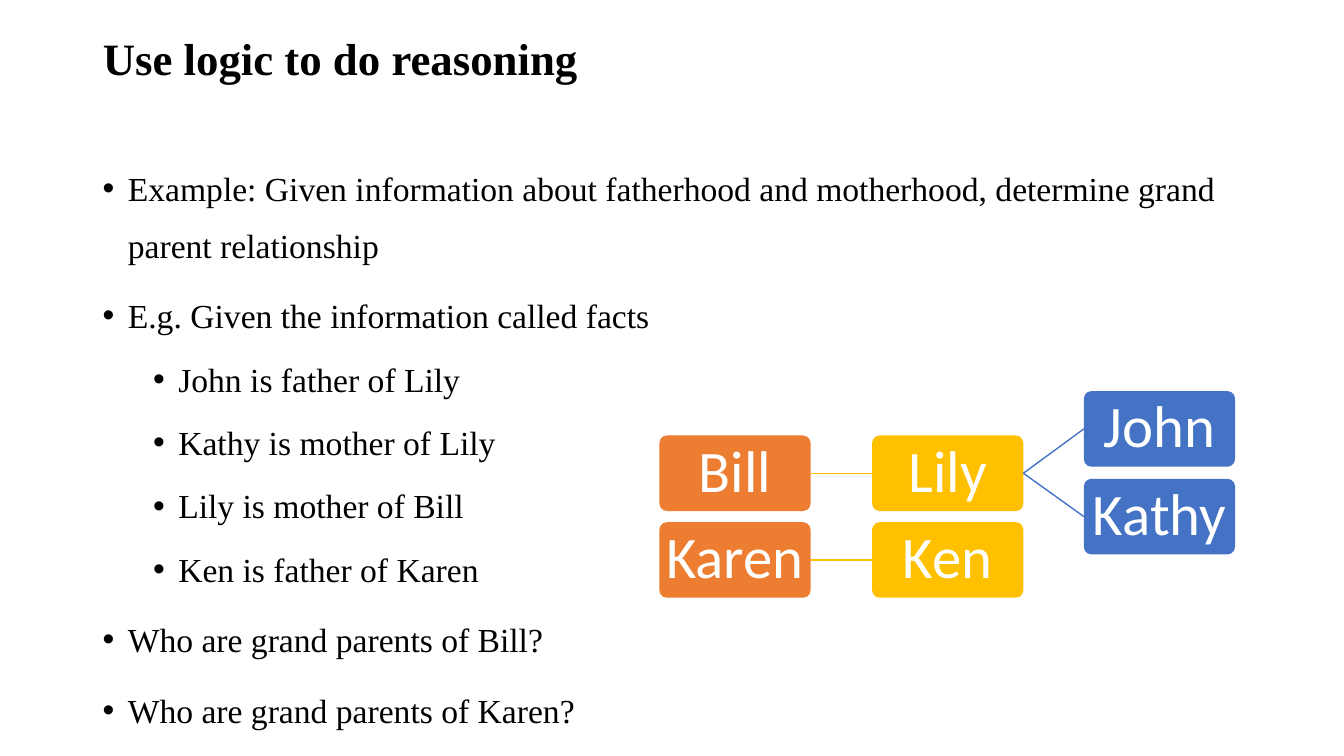
from pptx import Presentation
from pptx.dml.color import RGBColor
from pptx.enum import shapes, text
from pptx.oxml.ns import qn
from pptx.util import Inches, Pt
from lxml import etree

SERIF = "Times New Roman"
ORANGE, YELLOW, BLUE = "ED7D31", "FFC000", "4472C4"
COLUMNS = [6.54, 8.65, 10.75]
BOX_W, BOX_H = 1.5, 0.75

FACTS = [
    (0, "Example: Given information about fatherhood and motherhood, "
        "determine grand parent relationship"),
    (0, "E.g. Given the information called facts"),
    (1, "John is father of Lily"),
    (1, "Kathy is mother of Lily"),
    (1, "Lily is mother of Bill"),
    (1, "Ken is father of Karen"),
    (0, "Who are grand parents of Bill?"),
    (0, "Who are grand parents of Karen?"),
]
PEOPLE = [
    ("Bill", 0, 4.32, ORANGE),
    ("Karen", 0, 5.18, ORANGE),
    ("Lily", 1, 4.32, YELLOW),
    ("Ken", 1, 5.18, YELLOW),
    ("John", 2, 3.88, BLUE),
    ("Kathy", 2, 4.75, BLUE),
]
LINKS = [
    ("Bill", "Lily", YELLOW),
    ("Karen", "Ken", YELLOW),
    ("Lily", "John", BLUE),
    ("Lily", "Kathy", BLUE),
]


def color(value):
    return RGBColor.from_string(value)


def format_runs(p, size, name, value, bold=False):
    for r in p.runs:
        r.font.size = Pt(size)
        r.font.name = name
        r.font.bold = bold
        r.font.color.rgb = color(value)


def add_title(s, wording):
    sp = s.shapes.title
    sp.left, sp.top = Inches(0.92), Inches(0.16)
    sp.width, sp.height = Inches(11.5), Inches(0.9)
    tf = sp.text_frame
    tf.text = wording
    tf.vertical_anchor = text.MSO_ANCHOR.MIDDLE
    p = tf.paragraphs[0]
    p.alignment = text.PP_ALIGN.LEFT
    p.line_spacing = 0.9
    format_runs(p, 32, SERIF, "000000", bold=True)


def add_bullet(p, level):
    pPr = p._p.get_or_add_pPr()
    pPr.set("marL", str(Inches(0.25 + 0.5 * level)))
    pPr.set("indent", str(Inches(-0.25)))
    etree.SubElement(pPr, qn("a:buFont")).set("typeface", "Arial")
    etree.SubElement(pPr, qn("a:buChar")).set("char", "•")


def add_bullets(s, items):
    sp = s.shapes.add_textbox(Inches(0.92), Inches(1.46), Inches(11.5), Inches(6.04))
    tf = sp.text_frame
    tf.word_wrap = True
    for i, (level, wording) in enumerate(items):
        p = tf.add_paragraph() if i else tf.paragraphs[0]
        p.text = wording
        p.level = level
        add_bullet(p, level)
        p.line_spacing = 1.4
        p.space_before = Pt((5 if level else 10) if i else 0)
        format_runs(p, 24, SERIF, "000000")


def add_person(s, name, column, top, fill):
    sp = s.shapes.add_shape(shapes.MSO_SHAPE.ROUNDED_RECTANGLE, Inches(COLUMNS[column]),
                            Inches(top), Inches(BOX_W), Inches(BOX_H))
    sp.adjustments[0] = 0.1
    sp.shadow.inherit = False
    sp.fill.solid()
    sp.fill.fore_color.rgb = color(fill)
    sp.line.fill.background()
    tf = sp.text_frame
    tf.margin_left = tf.margin_right = tf.margin_top = tf.margin_bottom = Inches(0.05)
    tf.word_wrap = False
    tf.vertical_anchor = text.MSO_ANCHOR.MIDDLE
    tf.text = name
    p = tf.paragraphs[0]
    p.alignment = text.PP_ALIGN.CENTER
    p.line_spacing = 0.9
    format_runs(p, 42, "Calibri", "FFFFFF")
    return sp


def add_link(s, child, parent, value):
    cx = s.shapes.add_connector(shapes.MSO_CONNECTOR.STRAIGHT, 0, 0, 0, 0)
    cx.begin_connect(child, 3)
    cx.end_connect(parent, 1)
    cx.line.color.rgb = color(value)
    cx.line.width = Pt(1)
    etree.SubElement(cx._element.spPr, qn("a:effectLst"))


def main():
    prs = Presentation()
    prs.slide_width, prs.slide_height = Inches(13.33), Inches(7.5)
    s = prs.slides.add_slide(prs.slide_layouts[5])
    add_title(s, "Use logic to do reasoning")
    add_bullets(s, FACTS)
    people = {person[0]: add_person(s, *person) for person in PEOPLE}
    for child, parent, value in LINKS:
        add_link(s, people[child], people[parent], value)
    prs.save("out.pptx")


if __name__ == "__main__":
    main()
